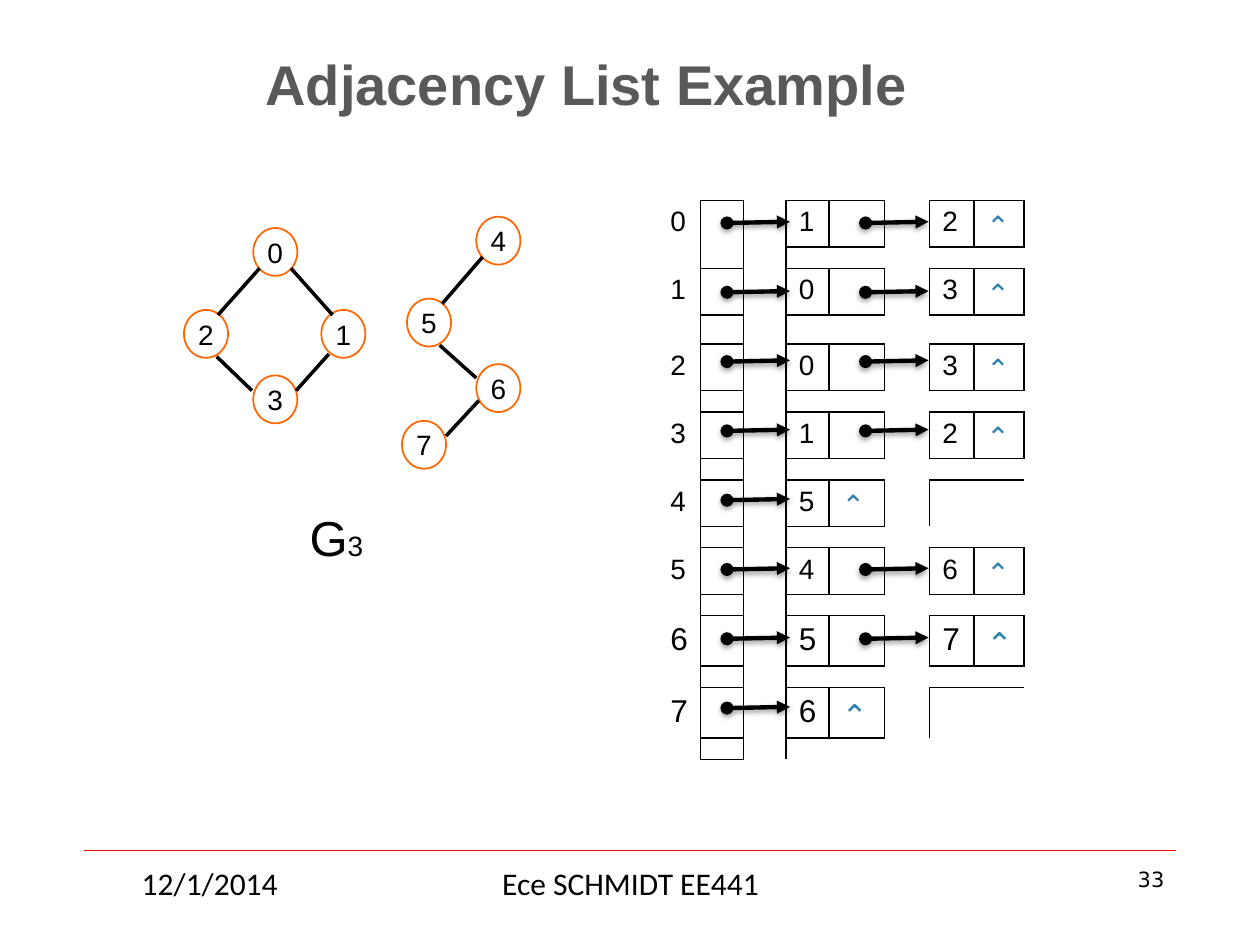
from lxml.etree import SubElement
from pptx import Presentation
from pptx.dml.color import RGBColor
from pptx.enum.shapes import MSO_CONNECTOR, MSO_SHAPE
from pptx.enum.text import MSO_ANCHOR, PP_ALIGN
from pptx.oxml.ns import qn
from pptx.util import Inches, Pt

THEME = {
    "ink": "000000", "paper": "FFFFFF", "title": "595959",
    "ring": "FF6600", "caret": "2C80AB", "rule": "FF0000",
    "font": "Arial", "caret_font": "Open Sans",
    "footer_font": "Calibri", "number_font": "DejaVu Sans",
    "title_size": 32, "graph_size": 28, "node_size": 16,
    "large_size": 18, "footer_size": 18, "number_size": 12, "gap_size": 4,
}

TITLE = "Adjacency List Example"
NODES = [
    ("0", 2.01, 1.81), ("2", 1.46, 2.46), ("1", 2.55, 2.46), ("3", 2.01, 2.98),
    ("4", 3.78, 1.72), ("5", 3.23, 2.37), ("7", 3.19, 3.34), ("6", 3.78, 2.89),
]
EDGES = [
    (2.06, 2.13, 1.73, 2.5), (2.31, 2.13, 2.64, 2.5),
    (1.72, 2.83, 2, 3.1), (2.61, 2.81, 2.35, 3.1),
    (3.83, 2.04, 3.51, 2.41), (3.49, 2.74, 3.78, 3), (3.8, 3.18, 3.54, 3.46),
]
NEIGHBOURS = [
    ("1", "2"), ("0", "3"), ("0", "3"), ("1", "2"),
    ("5",), ("4", "6"), ("5", "7"), ("6",),
]
FIRST_LARGE_ROW = 6
COLUMNS = [0.34, 0.34, 0.34, 0.34, 0.44, 0.36, 0.35, 0.4]
HEAD_COLUMN = 1
BOX_COLUMNS = [3, 6]
ARROW_STARTS = [5.77, 6.87]
NODE_HEIGHT, LARGE_HEIGHT = 0.37, 0.4
GAP_HEIGHT, WIDE_GAP, WIDE_GAP_ROW = 0.17, 0.23, 1
CARET = "⌃"
SIDES = {"L": (0, -1, "R"), "R": (0, 1, "L"), "T": (-1, 0, "B"), "B": (1, 0, "T")}


def colour(name):
    return RGBColor.from_string(THEME[name])


def add_span(para, text, size, font="font", ink="ink", bold=False):
    span = para.add_run()
    span.text = text
    span.font.size = Pt(THEME[size])
    span.font.name = THEME[font]
    span.font.bold = bold
    span.font.color.rgb = colour(ink)


def add_text(page, place, align, spans, wrap=True):
    box = page.shapes.add_textbox(*map(Inches, place))
    box.text_frame.word_wrap = wrap
    para = box.text_frame.paragraphs[0]
    para.alignment = align
    for text, size, font in spans:
        add_span(para, text, size, font)


def add_line(page, ends, width, ink="ink", arrow=False):
    line = page.shapes.add_connector(MSO_CONNECTOR.STRAIGHT, *map(Inches, ends))
    line.line.width = Pt(width)
    line.line.color.rgb = colour(ink)
    if arrow:
        stroke = line.line._get_or_add_ln()
        SubElement(stroke, qn("a:headEnd"), type="oval")
        SubElement(stroke, qn("a:tailEnd"), type="triangle")
    effects = SubElement(line._element.spPr, qn("a:effectLst"))
    if arrow:
        shadow = SubElement(effects, qn("a:outerShdw"), blurRad=str(Pt(3.1)),
                            dist=str(Pt(1.6)), dir="5400000", rotWithShape="0")
        shade = SubElement(shadow, qn("a:srgbClr"), val=THEME["ink"])
        SubElement(shade, qn("a:alpha"), val="38000")


def add_node(page, label, left, top):
    node = page.shapes.add_shape(
        MSO_SHAPE.OVAL, Inches(left), Inches(top), Inches(0.35), Inches(0.38))
    node.shadow.inherit = False
    node.fill.solid()
    node.fill.fore_color.rgb = colour("paper")
    node.line.color.rgb = colour("ring")
    node.line.width = Pt(1)
    frame = node.text_frame
    frame.word_wrap = False
    frame.vertical_anchor = MSO_ANCHOR.MIDDLE
    frame.paragraphs[0].alignment = PP_ALIGN.CENTER
    add_span(frame.paragraphs[0], label, "node_size")


def plan_table():
    texts, filled, borders = {}, set(), set()

    def outline(row, column, sides):
        filled.add((row, column))
        for side in sides:
            down, across, opposite = SIDES[side]
            borders.add((row, column, side))
            borders.add((row + down, column + across, opposite))

    for index, chain in enumerate(NEIGHBOURS):
        row = 2 * index
        texts[row, 0] = str(index)
        outline(row, HEAD_COLUMN, "LTR")
        outline(row + 1, HEAD_COLUMN, "LRB")
        for column, label in zip(BOX_COLUMNS, chain):
            texts[row, column] = label
            outline(row, column, "LRTB")
            outline(row, column + 1, "LRTB")
        texts[row, BOX_COLUMNS[len(chain) - 1] + 1] = CARET
    return texts, filled, borders


def row_height(row):
    index, is_gap = divmod(row, 2)
    if is_gap:
        return WIDE_GAP if index == WIDE_GAP_ROW else GAP_HEIGHT
    return LARGE_HEIGHT if index >= FIRST_LARGE_ROW else NODE_HEIGHT


def format_cell(cell, text, size, is_gap, is_filled, sides):
    is_caret = text == CARET
    cell.margin_top = Inches(0 if is_gap else 0.05)
    cell.margin_bottom = Inches(0)
    properties = cell._tc.get_or_add_tcPr()
    for side in sides:
        stroke = SubElement(properties, qn("a:ln" + side), w=str(Pt(1)))
        fill = SubElement(stroke, qn("a:solidFill"))
        SubElement(fill, qn("a:srgbClr"), val=THEME["ink"])
    if is_filled:
        cell.fill.solid()
        cell.fill.fore_color.rgb = colour("paper")
    else:
        cell.fill.background()
    para = cell.text_frame.paragraphs[0]
    if is_caret:
        add_span(para, text, size, "caret_font", "caret")
    elif text:
        add_span(para, text, size)
    else:
        SubElement(para._p, qn("a:endParaRPr"), sz=str(THEME[size] * 100))


def add_adjacency_table(page):
    texts, filled, borders = plan_table()
    heights = [row_height(row) for row in range(2 * len(NEIGHBOURS))]
    frame = page.shapes.add_table(
        len(heights), len(COLUMNS), Inches(5.22), Inches(1.59),
        Inches(sum(COLUMNS)), Inches(sum(heights)))
    table = frame.table
    table.first_row = table.horz_banding = False
    style = table._tbl.tblPr.find(qn("a:tableStyleId"))
    style.text = "{2D5ABB26-0587-4C30-8999-92F81FD0307C}"
    for column, width in enumerate(COLUMNS):
        table.columns[column].width = Inches(width)
    for row, height in enumerate(heights):
        table.rows[row].height = Inches(height)
        is_gap = row % 2 == 1
        text_size = "large_size" if row >= 2 * FIRST_LARGE_ROW else "node_size"
        for column in range(len(COLUMNS)):
            sides = [side for side in SIDES if (row, column, side) in borders]
            format_cell(table.cell(row, column), texts.get((row, column)),
                        "gap_size" if is_gap else text_size, is_gap,
                        (row, column) in filled, sides)


def main():
    deck = Presentation()
    deck.slide_width, deck.slide_height = Inches(10), Inches(7.5)
    page = deck.slides.add_slide(deck.slide_layouts[5])

    title = page.shapes.title
    title.left, title.top = Inches(0.99), Inches(0.4)
    title.width, title.height = Inches(7.33), Inches(1.08)
    title.text_frame.vertical_anchor = MSO_ANCHOR.TOP
    para = title.text_frame.paragraphs[0]
    para.alignment = PP_ALIGN.CENTER
    para.line_spacing = 0.9
    add_span(para, TITLE, "title_size", ink="title", bold=True)

    add_line(page, (0.67, 6.75, 9.33, 6.75), 0.25, "rule")
    add_text(page, (2.36, 3.98, 0.63, 0.57), PP_ALIGN.LEFT,
             [("G", "graph_size", "font"), ("3", "node_size", "font")], wrap=False)
    for node in NODES:
        add_node(page, *node)
    for edge in EDGES:
        add_line(page, edge, 2)

    add_adjacency_table(page)
    for index, chain in enumerate(NEIGHBOURS):
        top = 1.77 + 0.55 * index
        for left, _ in zip(ARROW_STARTS, chain):
            add_line(page, (left, top, left + 0.5, top - 0.01), 2.5, arrow=True)

    add_text(page, (7.17, 6.83, 2.17, 0.52), PP_ALIGN.RIGHT,
             [("33", "number_size", "number_font")])
    add_text(page, (0.5, 6.81, 2.33, 0.3), PP_ALIGN.CENTER,
             [("12/1/2014", "footer_size", "footer_font")])
    add_text(page, (3.42, 6.81, 3.17, 0.3), PP_ALIGN.CENTER,
             [("Ece SCHMIDT EE441", "footer_size", "footer_font")])
    deck.save("out.pptx")


if __name__ == "__main__":
    main()
